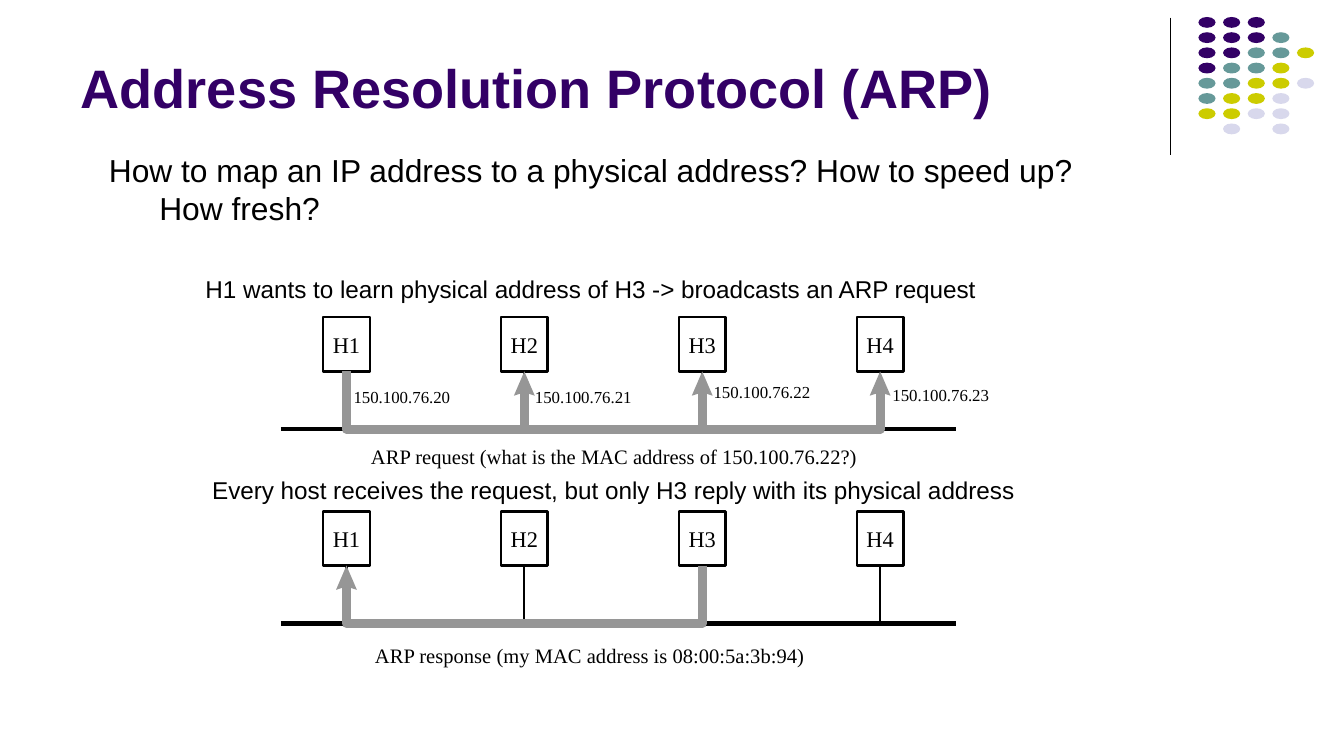
from lxml import etree
from pptx import Presentation
from pptx.dml import color
from pptx.enum import shapes, text
from pptx.oxml import ns
from pptx.util import Pt

SANS, SERIF = "Arial", "Times New Roman"
BLACK, GREY, PURPLE = "000000", "969696", "330066"


def rgb(value):
    return color.RGBColor.from_string(value)


def write(sp, content, size, font=SERIF, hue=BLACK, bold=False, margins=(0, 0),
          wrap=False, fit=text.MSO_AUTO_SIZE.NONE,
          anchor=text.MSO_ANCHOR.TOP, align=text.PP_ALIGN.LEFT):
    tf = sp.text_frame
    tf.word_wrap, tf.auto_size, tf.vertical_anchor = wrap, fit, anchor
    tf.margin_left = tf.margin_right = Pt(margins[0])
    tf.margin_top = tf.margin_bottom = Pt(margins[1])
    p = tf.paragraphs[0]
    p.alignment = align
    r = p.add_run()
    r.text = content
    r.font.name, r.font.size, r.font.bold = font, Pt(size), bold
    r.font.color.rgb = rgb(hue)
    return p


prs = Presentation()
prs.slide_width, prs.slide_height = Pt(720), Pt(405)
s = prs.slides.add_slide(prs.slide_layouts[1])
title, body = s.placeholders

# Title and question
title.left, title.top, title.width, title.height = Pt(36), Pt(7.2), Pt(594), Pt(60.5)
write(title, "Address Resolution Protocol (ARP)", 29, SANS, PURPLE, bold=True,
      margins=(7.2, 3.6), wrap=True, anchor=text.MSO_ANCHOR.BOTTOM)

body.left, body.top, body.width, body.height = Pt(51.1), Pt(77), Pt(536.4), Pt(49)
p = write(body, "How to map an IP address to a physical address? How to speed up? How fresh?",
          17, SANS, margins=(7.2, 3.6), wrap=True)
p.space_before = Pt(5)
pPr = p._p.get_or_add_pPr()
pPr.set("marL", str(Pt(27)))
pPr.set("indent", str(Pt(-27)))
etree.SubElement(pPr, ns.qn("a:buNone"))

# Dot ornament: one letter per dot, a blank for a gap
dot_colors = {"p": PURPLE, "t": "669999", "y": "CCCC00", "l": "D8D8EC"}
dot_rows = ["ppp", "pppt", "pptty", "ptty", "ttyyl", "tyyl", "yyll", " l l"]
for row, letters in enumerate(dot_rows):
    for col, letter in enumerate(letters):
        if letter in dot_colors:
            sp = s.shapes.add_shape(shapes.MSO_SHAPE.OVAL, Pt(642 + 13.2 * col),
                                    Pt(9.1 + 8.15 * row), Pt(9.2), Pt(5.8))
            sp.shadow.inherit = False
            sp.fill.solid()
            sp.fill.fore_color.rgb = rgb(dot_colors[letter])
            sp.line.fill.background()

# Networks: hosts on a bus, with the message drawn in grey
HOST_X = [185.6 + 95.3 * i for i in range(4)]
HOST_W, HOST_H, BUS_DROP = 25, 29, 60
lines = [(627.1, 9.4, 627.1, 82.8, 0.75, BLACK, None)]
request_y, response_y = 170, 274

for top in (request_y, response_y):
    bus = top + BUS_DROP
    lines.append((150.5, bus, 512, bus, 2.38, BLACK, None))
    for i, x in enumerate(HOST_X, 1):
        sp = s.shapes.add_shape(shapes.MSO_SHAPE.RECTANGLE, Pt(x - HOST_W / 2),
                                Pt(top), Pt(HOST_W), Pt(HOST_H))
        sp.shadow.inherit = False
        sp.fill.background()
        sp.line.color.rgb, sp.line.width = rgb(BLACK), Pt(1.25)
        write(sp, f"H{i}", 12, anchor=text.MSO_ANCHOR.MIDDLE,
              align=text.PP_ALIGN.CENTER)
        lines.append((x, top + HOST_H, x, bus, 1.25, BLACK, sp))

# Branches of the request to H2 and H3
for x in HOST_X[1:3]:
    lines.append((x, request_y + BUS_DROP, x, request_y + HOST_H + 10, 4.75, GREY, None))

for x1, y1, x2, y2, width, hue, host in lines:
    cn = s.shapes.add_connector(shapes.MSO_CONNECTOR.STRAIGHT,
                                Pt(x1), Pt(y1), Pt(x2), Pt(y2))
    cn.line.color.rgb, cn.line.width = rgb(hue), Pt(width)
    etree.SubElement(cn._element.spPr, ns.qn("a:effectLst"))
    if host is not None:
        cn.begin_connect(host, 2)

# Message routes from sender to receiver, then the arrowheads
outlines = []
for top, start, end in ((request_y, 0, 3), (response_y, 2, 0)):
    foot, bus = top + HOST_H, top + BUS_DROP
    a, b = HOST_X[start], HOST_X[end]
    outlines.append(([(a, foot), (a, bus), (b, bus), (b, foot + 10)], False))
for top, receivers in ((request_y, (1, 2, 3)), (response_y, (0,))):
    tip = top + HOST_H
    for x in (HOST_X[i] for i in receivers):
        outlines.append(([(x, tip), (x + 5.6, tip + 13), (x, tip + 11.2),
                          (x - 5.6, tip + 13)], True))

for points, closed in outlines:
    points = [(Pt(x), Pt(y)) for x, y in points]
    fb = s.shapes.build_freeform(*points[0])
    fb.add_line_segments(points[1:], close=closed)
    sp = fb.convert_to_shape()
    sp.shadow.inherit = False
    if closed:
        sp.fill.solid()
        sp.fill.fore_color.rgb = rgb(GREY)
        sp.line.fill.background()
    else:
        sp.fill.background()
        sp.line.color.rgb, sp.line.width = rgb(GREY), Pt(4.75)
        etree.SubElement(sp.line._get_or_add_ln(), ns.qn("a:round"))

# Addresses, messages and explanations
small = dict(size=9)
message = dict(size=11)
caption = dict(size=13, font=SANS, margins=(7.2, 3.6))
labels = [
    (189.4, 207.4, 52, 10.8, "150.100.76.20", small),
    (286.6, 207.4, 52, 10.8, "150.100.76.21", small),
    (382.3, 204.5, 52, 10.8, "150.100.76.22", small),
    (478.1, 205.9, 52, 10.8, "150.100.76.23", small),
    (198.7, 237.6, 260.6, 13, "ARP request (what is the MAC address of 150.100.76.22?)", message),
    (200.9, 344.2, 230.4, 13, "ARP response (my MAC address is 08:00:5a:3b:94)", message),
    (103, 143.3, 427.7, 23, "H1 wants to learn physical address of H3 -> broadcasts an ARP request", caption),
    (106.6, 251.3, 443.5, 23,
     "Every host receives the request, but only H3 reply with its physical address", caption),
]
for x, y, w, h, content, fmt in labels:
    sp = s.shapes.add_textbox(Pt(x), Pt(y), Pt(w), Pt(h))
    write(sp, content, fit=text.MSO_AUTO_SIZE.SHAPE_TO_FIT_TEXT, **fmt)

prs.save("out.pptx")
